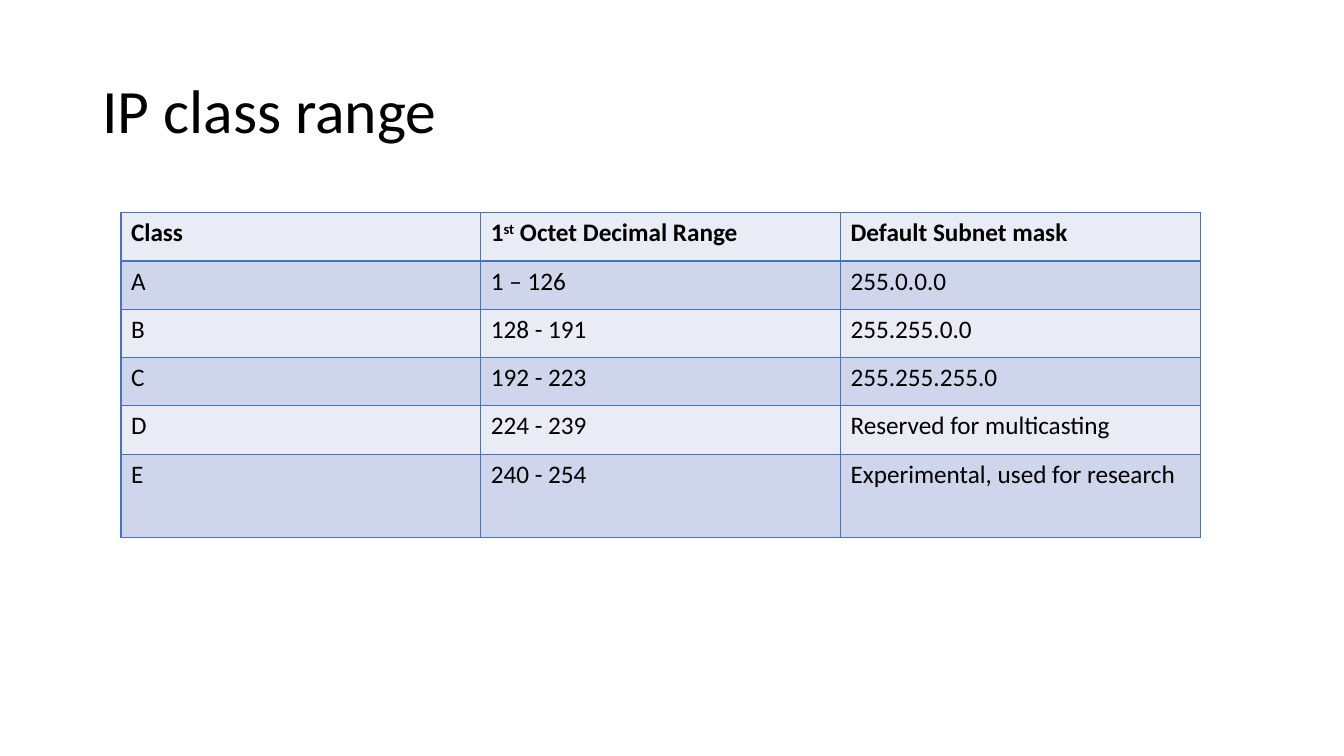
from pptx import Presentation
from pptx.dml.color import RGBColor
from pptx.enum.text import MSO_ANCHOR
from pptx.oxml import parse_xml
from pptx.oxml.ns import nsdecls
from pptx.util import Pt

TITLE = "IP class range"
ROWS = [
    ("Class", "1st Octet Decimal Range", "Default Subnet mask"),
    ("A", "1 – 126", "255.0.0.0"),
    ("B", "128 - 191", "255.255.0.0"),
    ("C", "192 - 223", "255.255.255.0"),
    ("D", "224 - 239", "Reserved for multicasting"),
    ("E", "240 - 254", "Experimental, used for research"),
]
ORDINAL = "st"
FONT = "Calibri"
BLACK = RGBColor(0x00, 0x00, 0x00)
BORDER = RGBColor(0x44, 0x72, 0xC4)
BANDS = [RGBColor(0xE9, 0xEB, 0xF5), RGBColor(0xCF, 0xD5, 0xEA)]
LEFT, TOP = 86.4, 151.9
COL_W, ROW_H, LAST_ROW_H = 257, 34.5, 59.8


def style(r, size, bold=False):
    r.font.name = FONT
    r.font.size = Pt(size)
    r.font.bold = bold
    r.font.color.rgb = BLACK


def add_borders(cell):
    tc_pr = cell._tc.get_or_add_tcPr()
    for i, side in enumerate(("lnL", "lnR", "lnT", "lnB")):
        tc_pr.insert(i, parse_xml(
            f'<a:{side} {nsdecls("a")} w="{Pt(1)}"><a:solidFill>'
            f'<a:srgbClr val="{BORDER}"/></a:solidFill></a:{side}>'))


def fill_cell(cell, text, header):
    p = cell.text_frame.paragraphs[0]
    if header and ORDINAL in text:
        before, after = text.split(ORDINAL, 1)
        parts = [before, ORDINAL, after]
    else:
        parts = [text]
    for part in parts:
        r = p.add_run()
        r.text = part
        style(r, 18, header)
        if part == ORDINAL:
            r.font._element.set("baseline", "30000")


prs = Presentation()
prs.slide_width, prs.slide_height = Pt(960), Pt(540)
s = prs.slides.add_slide(prs.slide_layouts[6])

tf = s.shapes.add_textbox(Pt(66), Pt(28.75), Pt(828), Pt(104.4)).text_frame
tf.word_wrap = True
tf.vertical_anchor = MSO_ANCHOR.MIDDLE
tf.text = TITLE
p = tf.paragraphs[0]
p.line_spacing = 0.9
style(p.runs[0], 44)

n_rows, n_cols = len(ROWS), len(ROWS[0])
heights = [ROW_H] * (n_rows - 1) + [LAST_ROW_H]
table = s.shapes.add_table(n_rows, n_cols, Pt(LEFT), Pt(TOP),
                           Pt(COL_W * n_cols), Pt(sum(heights))).table
for col in table.columns:
    col.width = Pt(COL_W)
for i, (row, height) in enumerate(zip(ROWS, heights)):
    table.rows[i].height = Pt(height)
    for j, text in enumerate(row):
        cell = table.cell(i, j)
        cell.fill.solid()
        cell.fill.fore_color.rgb = BANDS[i % 2]
        add_borders(cell)
        fill_cell(cell, text, header=i == 0)

prs.save("out.pptx")
